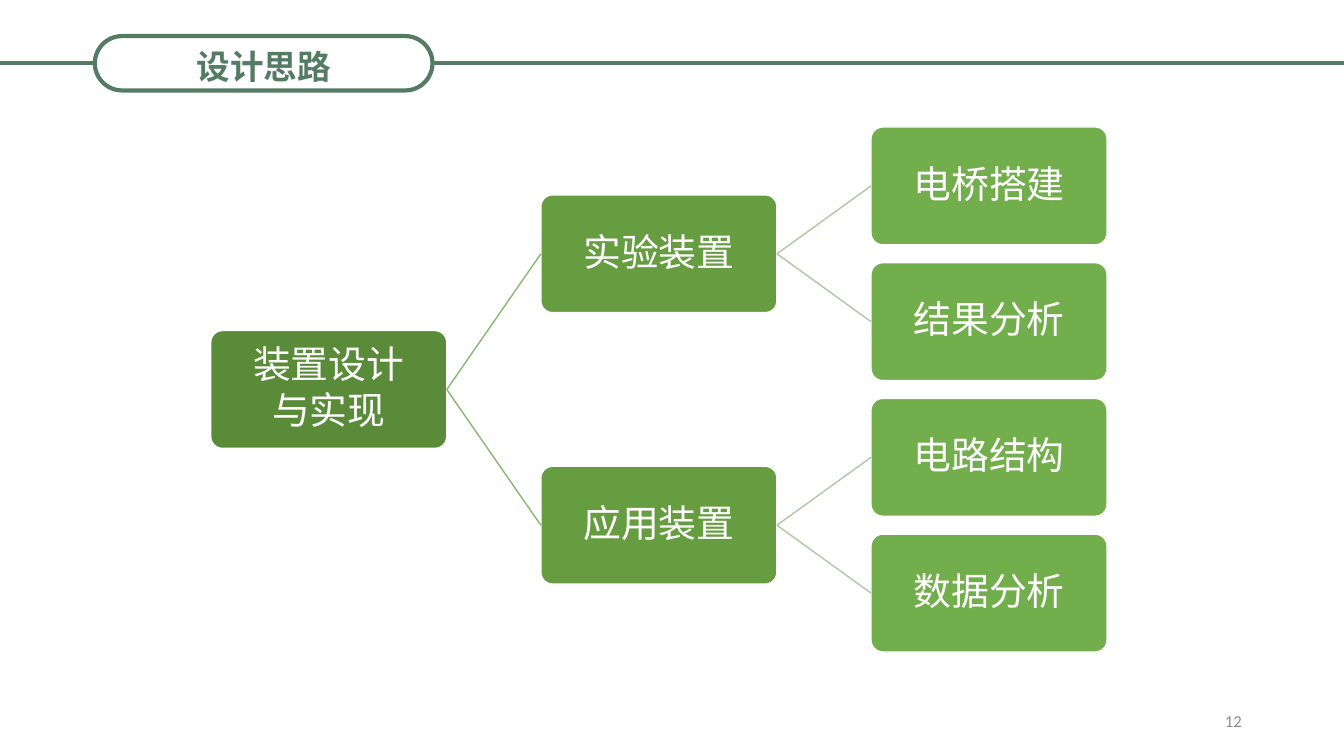
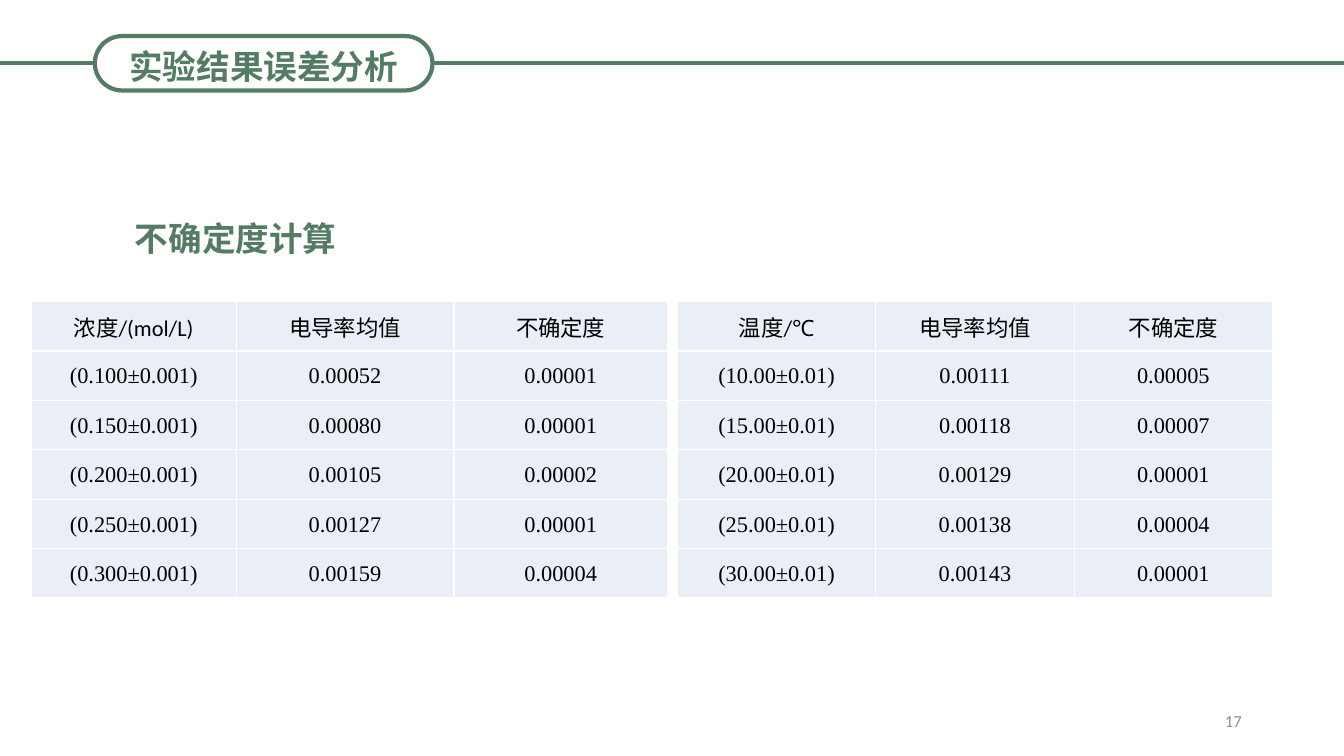
from lxml.etree import SubElement
from pptx import Presentation
from pptx.dml.color import RGBColor
from pptx.enum.shapes import MSO_CONNECTOR, MSO_SHAPE
from pptx.enum.text import MSO_ANCHOR, PP_ALIGN
from pptx.oxml.ns import qn
from pptx.util import Cm, Pt

WIDTH, HEIGHT = 33.87, 19.05
CJK = "Noto Sans CJK SC"
GREEN = "547C64"
PILL = (2.39, 0.91, 8.51, 1.37)
HEADING = {"name": CJK, "size": Pt(24), "bold": True}
NUMBER = {"name": "Calibri", "size": Pt(12)}
NODE = {"name": "Calibri", "size": Pt(27)}
HEADER_CELL = {"name": "Calibri", "size": Pt(16), "bold": False}
VALUE_CELL = {"name": "Times New Roman", "size": Pt(16), "bold": False}

BOX_W, BOX_H = 5.95, 2.97
TREE_LEFT, TREE_TOP = 5.31, 3.2
COL_STEP, ROW_STEP = 8.38 - 0.06, 3.42
LEVEL_FILLS = ["5A8B39", "669D40", "73AE4C"]
LEVEL_LINES = ["88B76F", "ACCA9F"]
TREE = ("装置设计\n与实现", [
    ("实验装置", [("电桥搭建", []), ("结果分析", [])]),
    ("应用装置", [("电路结构", []), ("数据分析", [])]),
])

CONCENTRATION = [
    ("浓度/(mol/L)", "电导率均值", "不确定度"),
    ("(0.100±0.001)", "0.00052", "0.00001"),
    ("(0.150±0.001)", "0.00080", "0.00001"),
    ("(0.200±0.001)", "0.00105", "0.00002"),
    ("(0.250±0.001)", "0.00127", "0.00001"),
    ("(0.300±0.001)", "0.00159", "0.00004"),
]
TEMPERATURE = [
    ("温度/℃", "电导率均值", "不确定度"),
    ("(10.00±0.01)", "0.00111", "0.00005"),
    ("(15.00±0.01)", "0.00118", "0.00007"),
    ("(20.00±0.01)", "0.00129", "0.00001"),
    ("(25.00±0.01)", "0.00138", "0.00004"),
    ("(30.00±0.01)", "0.00143", "0.00001"),
]


def rgb(value):
    return RGBColor.from_string(value)


def set_attrs(target, values):
    for name, value in values.items():
        setattr(target, name, value)


def write(tf, text, font, color, align=PP_ALIGN.CENTER, para=None):
    tf.text = text
    for p in tf.paragraphs:
        set_attrs(p, {"alignment": align, **(para or {})})
        for r in p.runs:
            set_attrs(r.font, font)
            r.font.color.rgb = rgb(color)
            SubElement(r.font._element, qn("a:ea")).set("typeface", CJK)


def add_line(s, start, end, color, width):
    line = s.shapes.add_connector(MSO_CONNECTOR.STRAIGHT, *map(Cm, start + end))
    line.line.color.rgb = rgb(color)
    line.line.width = Pt(width)
    SubElement(line._element.spPr, qn("a:effectLst"))
    return line


def add_round_box(s, box, adjust, fill, line, width):
    sp = s.shapes.add_shape(MSO_SHAPE.ROUNDED_RECTANGLE, *map(Cm, box))
    sp.adjustments[0] = adjust
    sp.shadow.inherit = False
    if fill:
        sp.fill.solid()
        sp.fill.fore_color.rgb = rgb(fill)
    else:
        sp.fill.background()
    sp.line.color.rgb = rgb(line)
    sp.line.width = Pt(width)
    return sp


def add_text(s, box, text, font, color, align):
    tf = s.shapes.add_textbox(*map(Cm, box)).text_frame
    set_attrs(tf, {"word_wrap": True, "vertical_anchor": MSO_ANCHOR.MIDDLE})
    write(tf, text, font, color, align)


def add_slide(prs, title, number):
    s = prs.slides.add_slide(prs.slide_layouts[5])
    left, top, width, height = PILL
    middle = top + height / 2
    add_line(s, (0, middle), (left, middle), GREEN, 3)
    add_line(s, (left + width, middle), (WIDTH, middle), GREEN, 3)
    add_round_box(s, PILL, 0.5, None, GREEN, 3)
    sp = s.shapes.title
    set_attrs(sp, {"left": Cm(left), "top": Cm(1.02),
                   "width": Cm(width), "height": Cm(1.27)})
    set_attrs(sp.text_frame, {"word_wrap": True,
                              "vertical_anchor": MSO_ANCHOR.MIDDLE})
    write(sp.text_frame, title, HEADING, GREEN)
    add_text(s, (23.93, 17.65, 7.62, 1.02), number, NUMBER, "8C8C8C",
             PP_ALIGN.RIGHT)
    return s


def count_leaves(node):
    return sum(map(count_leaves, node[1])) or 1


def add_tree(s, node, level=0, first_row=0):
    text, children = node
    row = first_row + (count_leaves(node) - 1) / 2
    box = (TREE_LEFT + level * COL_STEP, TREE_TOP + row * ROW_STEP, BOX_W, BOX_H)
    sp = add_round_box(s, box, 0.1, LEVEL_FILLS[level], "FFFFFF", 1)
    sides = ("left", "top", "right", "bottom")
    set_attrs(sp.text_frame, {f"margin_{side}": Cm(0.15) for side in sides})
    set_attrs(sp.text_frame, {"word_wrap": True,
                              "vertical_anchor": MSO_ANCHOR.MIDDLE})
    write(sp.text_frame, text, NODE, "FFFFFF",
          para={"line_spacing": 0.9, "space_after": Pt(3.5)})
    for child in children:
        child_sp = add_tree(s, child, level + 1, first_row)
        line = add_line(s, (0, 0), (0, 0), LEVEL_LINES[level], 1)
        line.begin_connect(sp, 3)
        line.end_connect(child_sp, 1)
        first_row += count_leaves(child)
    return sp


def add_data_table(s, left, top, col_widths, rows, row_height=1.245):
    frame = s.shapes.add_table(len(rows), len(col_widths), Cm(left), Cm(top),
                               Cm(sum(col_widths)), Cm(row_height * len(rows)))
    table = frame.table
    set_attrs(table, {"first_row": False, "horz_banding": False})
    for column, width in zip(table.columns, col_widths):
        column.width = Cm(width)
    for i, values in enumerate(rows):
        font = VALUE_CELL if i else HEADER_CELL
        for j, value in enumerate(values):
            cell = table.cell(i, j)
            set_attrs(cell, {"margin_left": Cm(0.03), "margin_right": Cm(0.03),
                             "margin_top": Cm(0.03), "margin_bottom": 0,
                             "vertical_anchor": MSO_ANCHOR.MIDDLE})
            cell.fill.solid()
            cell.fill.fore_color.rgb = rgb("EAEFF7")
            write(cell.text_frame, value, font, "000000")


def main():
    prs = Presentation()
    set_attrs(prs, {"slide_width": Cm(WIDTH), "slide_height": Cm(HEIGHT)})

    s = add_slide(prs, "设计思路", "12")
    add_tree(s, TREE)

    s = add_slide(prs, "实验结果误差分析", "17")
    add_text(s, (3.12, 5.36, 5.64, 1.27), "不确定度计算", HEADING, GREEN,
             PP_ALIGN.CENTER)
    add_data_table(s, 0.79, 7.6, [5.16, 5.49, 5.38], CONCENTRATION)
    add_data_table(s, 17.07, 7.6, [5] * 3, TEMPERATURE)

    prs.save("out.pptx")


if __name__ == "__main__":
    main()
